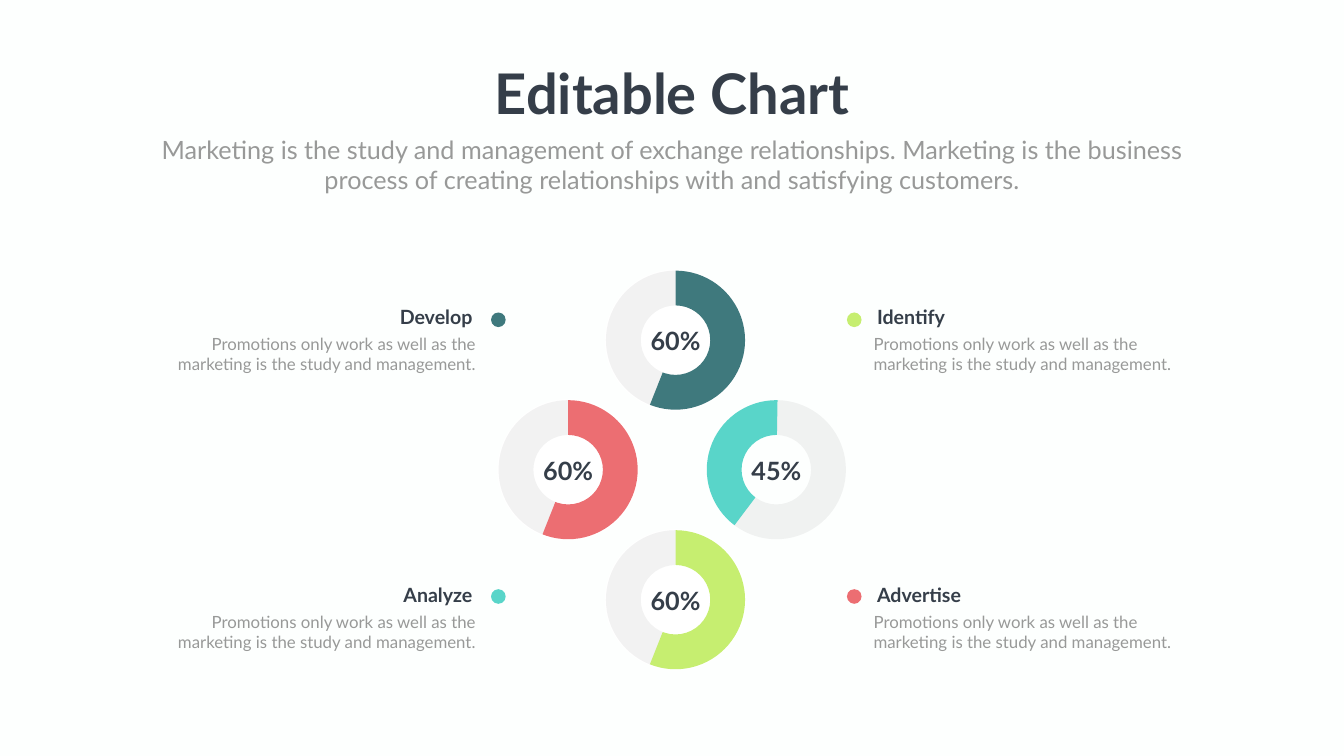
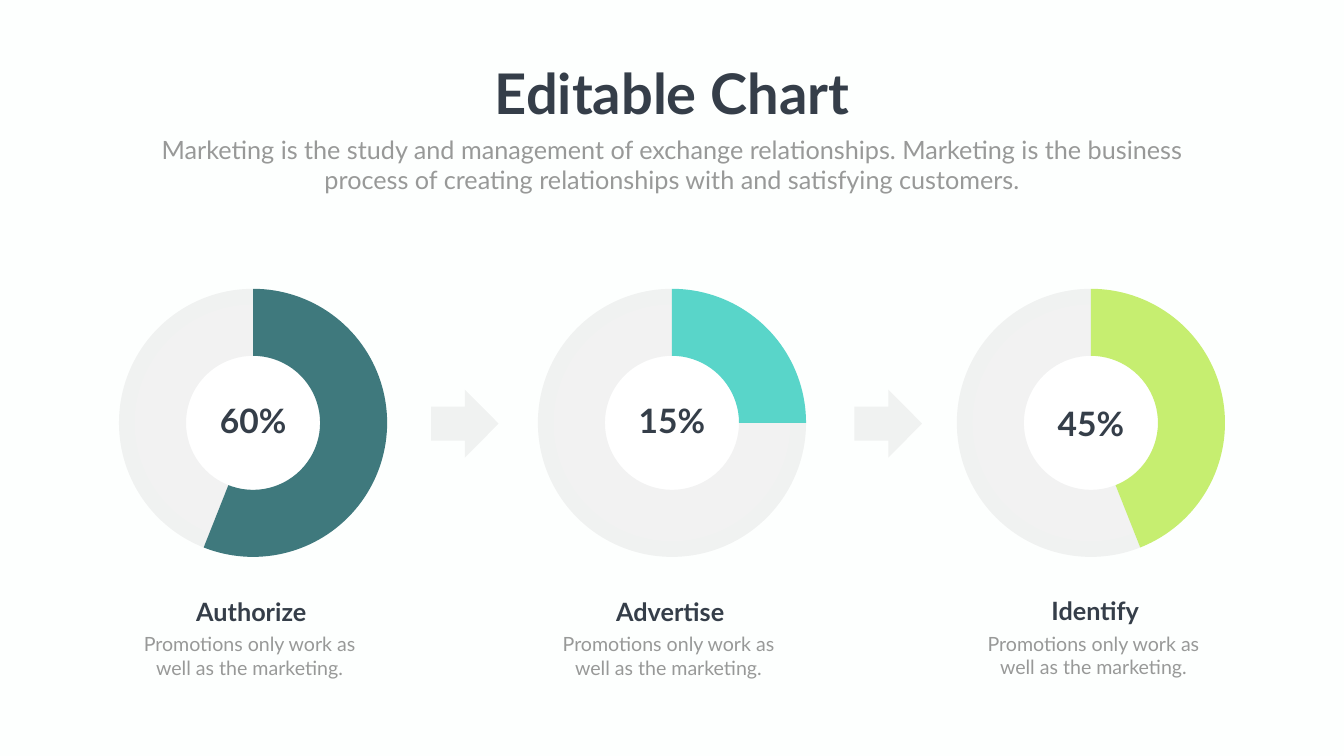
import pptx
import pptx.chart.data
import pptx.dml.color
import pptx.enum.chart
import pptx.enum.shapes
import pptx.enum.text
import pptx.oxml
import pptx.oxml.ns
import pptx.util
from lxml import etree

Inches = pptx.util.Inches
Pt = pptx.util.Pt
RGBColor = pptx.dml.color.RGBColor
Shape = pptx.enum.shapes.MSO_SHAPE
Align = pptx.enum.text.PP_ALIGN
qn = pptx.oxml.ns.qn

PAPER = RGBColor(0xFD, 0xFF, 0xFE)
WHITE = RGBColor(0xFF, 0xFF, 0xFF)
DARK = RGBColor(0x35, 0x3E, 0x49)
GREY = RGBColor(0x98, 0x99, 0x98)
TRACK = RGBColor(0x80, 0x80, 0x80)
TEAL = RGBColor(0x3F, 0x79, 0x7D)
AQUA = RGBColor(0x59, 0xD5, 0xC9)
LIME = RGBColor(0xC6, 0xEE, 0x70)
CORAL = RGBColor(0xEC, 0x6E, 0x72)

TITLE = "Editable Chart"
SUBTITLE = ("Marketing is the study and management of exchange relationships. "
            "Marketing is the business process of creating relationships "
            "with and satisfying customers.")
LONG_NOTE = ("Promotions only work as well as the marketing is the study "
             "and management.")
SHORT_NOTE = "Promotions only work as well as the marketing."

SMALL = {"frame": (3.23, 3.03), "ring": 2.76, "disc": 2.81, "hole": 75,
         "label": (1.91, 0.71), "size": 36}
LARGE = {"frame": (5.97, 5.6), "ring": 5.32, "disc": 4.7, "hole": 55,
         "label": (2.87, 0.91), "size": 48}


def make_track_faint(element):
    """Give every track-coloured fill in the element 10% opacity."""
    for color in element.iter(qn("a:srgbClr")):
        if color.get("val") == str(TRACK):
            etree.SubElement(color, qn("a:alpha")).set("val", "10000")


def centred(cx, cy, width, height):
    return cx - width / 2, cy - height / 2, width, height


class Deck:
    def __init__(self):
        self.prs = pptx.Presentation()
        self.prs.slide_width = Inches(26.66)
        self.prs.slide_height = Inches(15)
        self.s = None

    def add_slide(self):
        self.s = self.prs.slides.add_slide(self.prs.slide_layouts[0])
        fill = self.s.background.fill
        fill.solid()
        fill.fore_color.rgb = PAPER
        title, subtitle = self.s.placeholders
        for sp, box in ((title, (9.65, 1.12, 7.37, 1.45)),
                        (subtitle, (2.92, 2.61, 20.82, 1.31))):
            sp.left, sp.top, sp.width, sp.height = map(Inches, box)
        self.set_text(title, TITLE, 80, True, wrap=False)
        self.set_text(subtitle, SUBTITLE, 36)

    def set_text(self, sp, text, size, strong=False, align=Align.CENTER, wrap=True):
        tf = sp.text_frame
        tf.text = text
        p = tf.paragraphs[0]
        frame_format = {"word_wrap": wrap,
                        "auto_size": pptx.enum.text.MSO_AUTO_SIZE.SHAPE_TO_FIT_TEXT,
                        "vertical_anchor": pptx.enum.text.MSO_ANCHOR.TOP}
        para_format = {"alignment": align, "space_before": Pt(0)}
        font_format = {"name": "Lato", "size": Pt(size), "bold": strong}
        for target, values in ((tf, frame_format), (p, para_format),
                               (p.runs[0].font, font_format)):
            for name, value in values.items():
                setattr(target, name, value)
        p.runs[0].font.color.rgb = DARK if strong else GREY

    def text(self, box, text, size, strong=False, align=Align.CENTER):
        sp = self.s.shapes.add_textbox(*map(Inches, box))
        self.set_text(sp, text, size, strong, align)

    def shape(self, kind, box, color):
        sp = self.s.shapes.add_shape(kind, *map(Inches, box))
        sp.shadow.inherit = False
        sp.fill.solid()
        sp.fill.fore_color.rgb = color
        sp.line.fill.background()
        make_track_faint(sp.element)

    def donut(self, cx, cy, style, color, share, label, label_dy=0.02,
              start=0, disc=True):
        if disc:
            size = style["disc"]
            self.shape(Shape.OVAL, centred(cx, cy, size, size), WHITE)
        data = pptx.chart.data.CategoryChartData()
        data.categories = ["1", "2"]
        data.add_series("Series 1", (share, 100 - share))
        frame = style["frame"]
        chart = self.s.shapes.add_chart(
            pptx.enum.chart.XL_CHART_TYPE.DOUGHNUT,
            *map(Inches, centred(cx, cy, *frame)), data).chart
        chart.has_title = chart.has_legend = False
        chart.font.name = "Calibri"
        chart.font.size = Pt(10)
        chart.font.color.rgb = GREY
        plot = chart.plots[0]
        plot.vary_by_categories = True
        for i, point_color in enumerate((color, TRACK)):
            look = plot.series[0].points[i].format
            look.fill.solid()
            look.fill.fore_color.rgb = point_color
            look.line.fill.background()
        make_track_faint(chart.element)
        for tag, value in (("c:firstSliceAng", start), ("c:holeSize", style["hole"])):
            chart.element.find(".//" + qn(tag)).set("val", str(value))
        self.place_ring(chart, frame, style["ring"])
        width, height = style["label"]
        self.text(centred(cx, cy + label_dy, width, height), label,
                  style["size"], True)

    def place_ring(self, chart, frame, ring):
        """Centre a plot of the ring's diameter in the chart frame."""
        area = chart.element.find(".//" + qn("c:plotArea"))
        for layout in area.findall(qn("c:layout")):
            area.remove(layout)
        layout = etree.Element(qn("c:layout"))
        manual = etree.SubElement(layout, qn("c:manualLayout"))
        w, h = (ring / side for side in frame)
        for tag, value in (("layoutTarget", "inner"), ("xMode", "edge"),
                           ("yMode", "edge"), ("x", (1 - w) / 2),
                           ("y", (1 - h) / 2), ("w", w), ("h", h)):
            etree.SubElement(manual, qn("c:" + tag)).set("val", str(value))
        area.insert(0, layout)

    def side_note(self, heading, color, top, on_left):
        if on_left:
            dot_x, head_x, note_x, align = 9.74, 7.27, 2.62, Align.RIGHT
        else:
            dot_x, head_x, note_x, align = 16.8, 17.3, 17.23, Align.LEFT
        dot_top = 6.2 if top == 6 else 11.69
        self.text((note_x, top + 0.57, 6.91, 0.91), LONG_NOTE, 24, align=align)
        self.text((head_x, top, 2.2, 0.57), heading, 28, True, align)
        self.shape(Shape.OVAL, (dot_x, dot_top, 0.29, 0.29), color)

    def caption(self, cx, top, heading):
        self.text((cx - 1.62, top, 3.25, 0.71), heading, 36, True)
        self.text((cx - 2.31, top + 0.71, 4.56, 1.04), SHORT_NOTE, 28)


def build_diamond(deck):
    deck.add_slide()
    deck.donut(11.27, 9.32, SMALL, CORAL, 56, "60%")
    deck.donut(15.4, 9.32, SMALL, AQUA, 40, "45%", start=217, disc=False)
    deck.donut(13.4, 11.9, SMALL, LIME, 56, "60%")
    deck.donut(13.4, 6.75, SMALL, TEAL, 56, "60%")
    for heading, color, top, on_left in (
            ("Identify", LIME, 6, False), ("Advertise", CORAL, 11.52, False),
            ("Develop", TEAL, 6, True), ("Analyze", AQUA, 11.52, True)):
        deck.side_note(heading, color, top, on_left)


def build_sequence(deck):
    deck.add_slide()
    steps = (("Authorize", TEAL, 56, "60%", -0.05, 4.98, 11.78),
             ("Advertise", AQUA, 25, "15%", -0.05, 13.29, 11.78),
             ("Identify", LIME, 44, "45%", 0.01, 21.72, 11.77))
    for i, (heading, color, share, label, dy, caption_x, top) in enumerate(steps):
        deck.donut(5.02 + 8.31 * i, 8.39, LARGE, color, share, label, dy)
        deck.caption(caption_x, top, heading)
    for left in (8.55, 16.95):
        deck.shape(Shape.RIGHT_ARROW, (left, 7.73, 1.34, 1.35), TRACK)


def main():
    deck = Deck()
    build_diamond(deck)
    build_sequence(deck)
    deck.prs.save("out.pptx")


if __name__ == "__main__":
    main()
